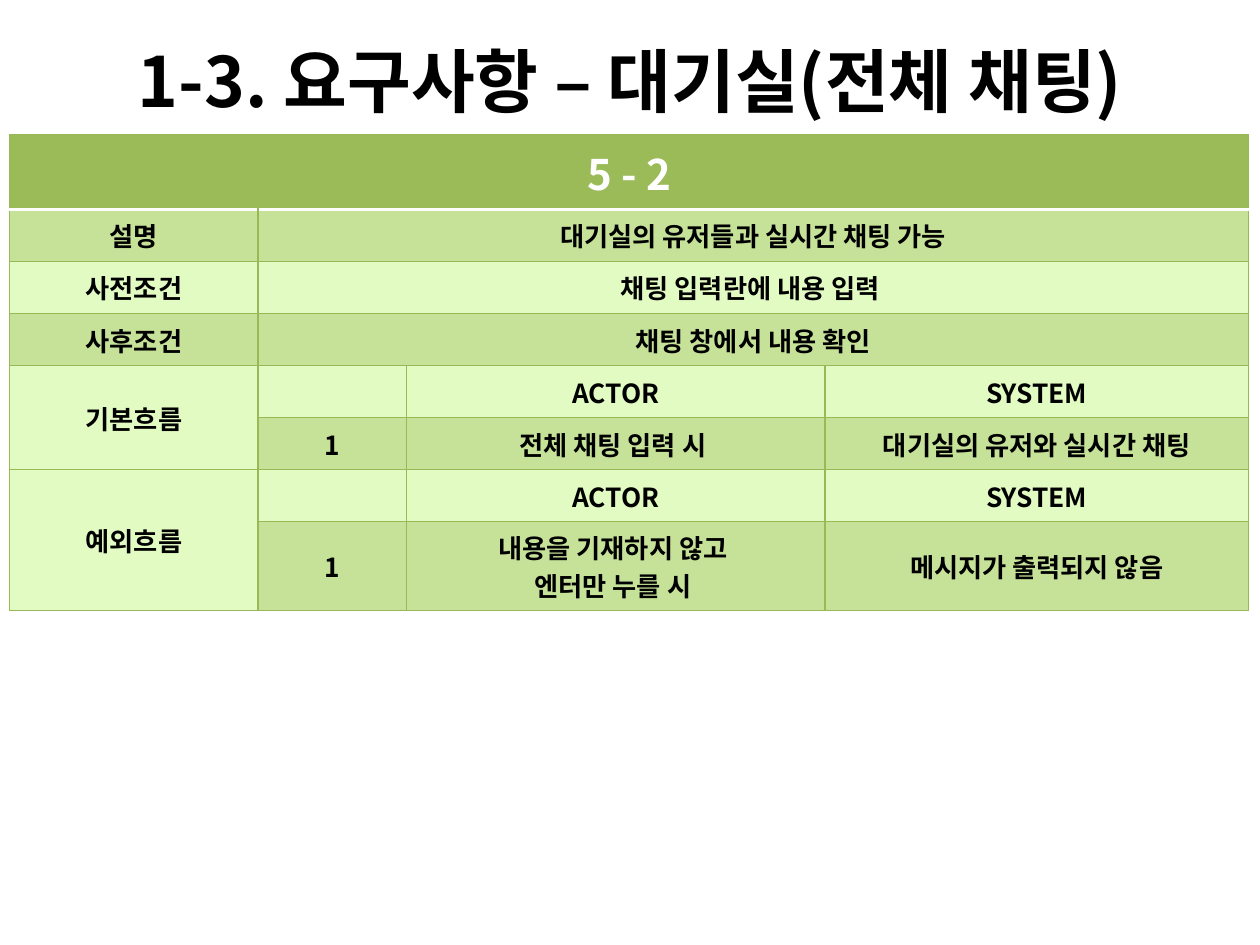
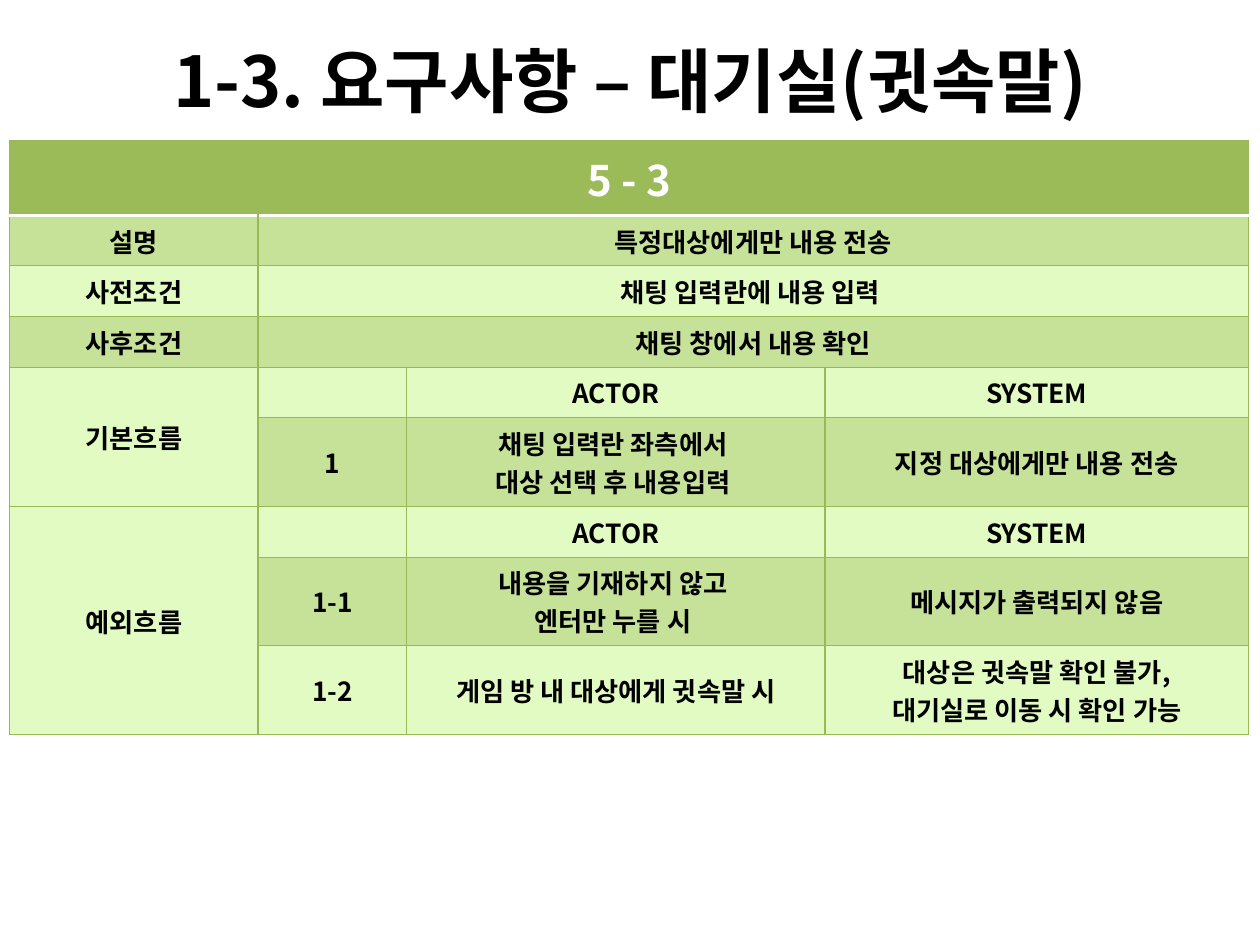
from lxml.etree import SubElement
from pptx import Presentation
from pptx.dml.color import RGBColor
from pptx.enum.text import MSO_ANCHOR, PP_ALIGN
from pptx.oxml.ns import qn
from pptx.util import Cm, Pt

FACE = "Noto Sans CJK KR"
INK, WHITE = "000000", "FFFFFF"
GREEN, EDGE = "9BBB59", "98B955"
BANDS = ["E2FBC2", "C6E299"]
TITLE = {"size": Pt(40), "bold": True}
HEAD = {"size": Pt(24), "bold": True}
BODY = {"size": Pt(15), "bold": True}
TITLE_BOX = [Cm(n) for n in (1.27, 0.4, 22.86, 2.4)]
LEFT, COLS = 0.2, [5, 3, 8.43, 8.54]
HEAD_HIGH, TWO_HIGH = 1.5, 1.79
LABELS = ["설명", "사전조건", "사후조건"]
EMPTY = ("내용을 기재하지 않고 \n엔터만 누를 시 ", "메시지가 출력되지 않음")

PAGES = [
    {"title": "1-3. 요구사항 – 대기실(전체 채팅)", "size": 39.6,
     "top": 2.72, "high": 1.05, "code": "5 - 2",
     "facts": ["대기실의 유저들과 실시간 채팅 가능",
               "채팅 입력란에 내용 입력 ", "채팅 창에서 내용 확인"],
     "flows": {
         "기본흐름": [("1", "전체 채팅 입력 시 ", "대기실의 유저와 실시간 채팅")],
         "예외흐름": [("1", *EMPTY)]}},
    {"title": "1-3. 요구사항 – 대기실(귓속말)", "size": 40,
     "top": 2.84, "high": 1.02, "code": "5 - 3",
     "facts": ["특정대상에게만 내용 전송",
               "채팅 입력란에 내용 입력 ", "채팅 창에서 내용 확인"],
     "flows": {
         "기본흐름": [("1", "채팅 입력란 좌측에서 \n대상 선택 후 내용입력 ",
                   "지정 대상에게만 내용 전송")],
         "예외흐름": [("1-1", *EMPTY),
                  ("1-2", "게임 방 내 대상에게 귓속말 시",
                   "대상은 귓속말 확인 불가,\n대기실로 이동 시 확인 가능")]}},
]


def paint(hue):
    """Turn a hex string into a colour."""
    return RGBColor.from_string(hue)


def style(frame, form, hue):
    """Centre the text of a frame and format its runs."""
    for para in frame.paragraphs:
        para.alignment = PP_ALIGN.CENTER
        for run in para.runs:
            for key, val in form.items():
                setattr(run.font, key, val)
            run.font.color.rgb = paint(hue)
            run.font.name = FACE
            SubElement(run.font._element, qn("a:ea"), typeface=FACE)
        SubElement(para._p, qn("a:endParaRPr"),
                   sz=str(int(form["size"].pt * 100)))


def edge(cell, side, hue, width):
    """Draw one border of a cell."""
    props = cell._tc.get_or_add_tcPr()
    line = SubElement(props, qn("a:ln" + side), w=str(Pt(width)))
    fill = SubElement(line, qn("a:solidFill"))
    SubElement(fill, qn("a:srgbClr"), val=hue)


def dress(cell, row):
    """Give a cell its borders, fill and text format by its row."""
    for side in "LRTB":
        split = (row, side) in [(0, "B"), (1, "T")]
        edge(cell, side, *((WHITE, 2) if split else (EDGE, 0.75)))
    cell.fill.solid()
    cell.fill.fore_color.rgb = paint(BANDS[row % 2] if row else GREEN)
    cell.vertical_anchor = MSO_ANCHOR.MIDDLE
    style(cell.text_frame, *((BODY, INK) if row else (HEAD, WHITE)))


def add_title(slide, text, size, box):
    """Place the slide title in its box."""
    frame = slide.shapes.add_textbox(*box).text_frame
    frame.word_wrap = True
    frame.vertical_anchor = MSO_ANCHOR.MIDDLE
    frame.text = text
    style(frame, {**TITLE, "size": Pt(size)}, INK)


def list_rows(page):
    """Return the rows of texts and the merges as corner pairs."""
    rows, spans = [[page["code"]]], [(0, 0, 0, 3)]
    for label, fact in zip(LABELS, page["facts"]):
        spans.append((len(rows), 1, len(rows), 3))
        rows.append([label, fact])
    for name, steps in page["flows"].items():
        spans.append((len(rows), 0, len(rows) + len(steps), 0))
        rows.append([name, "", "ACTOR", "SYSTEM"])
        rows += [["", *step] for step in steps]
    return rows, spans


def add_case(slide, page, left, top):
    """Place the use case table with its corner at left and top."""
    rows, spans = list_rows(page)
    highs = [HEAD_HIGH] + [
        TWO_HIGH if any("\n" in text for text in row) else page["high"]
        for row in rows[1:]]
    table = slide.shapes.add_table(
        len(rows), len(COLS), Cm(left), Cm(top),
        Cm(sum(COLS)), Cm(sum(highs))).table
    table.first_row = table.horz_banding = False
    for col, wide in zip(table.columns, COLS):
        col.width = Cm(wide)
    for r, (texts, high) in enumerate(zip(rows, highs)):
        table.rows[r].height = Cm(high)
        for c, text in enumerate(texts):
            table.cell(r, c).text = text
        for c in range(len(COLS)):
            dress(table.cell(r, c), r)
    for r, c, end, last in spans:
        table.cell(r, c).merge(table.cell(end, last))


def main():
    """Build and save the slides."""
    deck = Presentation()
    deck.slide_width, deck.slide_height = Cm(25.4), Cm(19.05)
    for page in PAGES:
        slide = deck.slides.add_slide(deck.slide_layouts[6])
        add_title(slide, page["title"], page["size"], TITLE_BOX)
        add_case(slide, page, LEFT, page["top"])
    deck.save("out.pptx")


if __name__ == "__main__":
    main()
